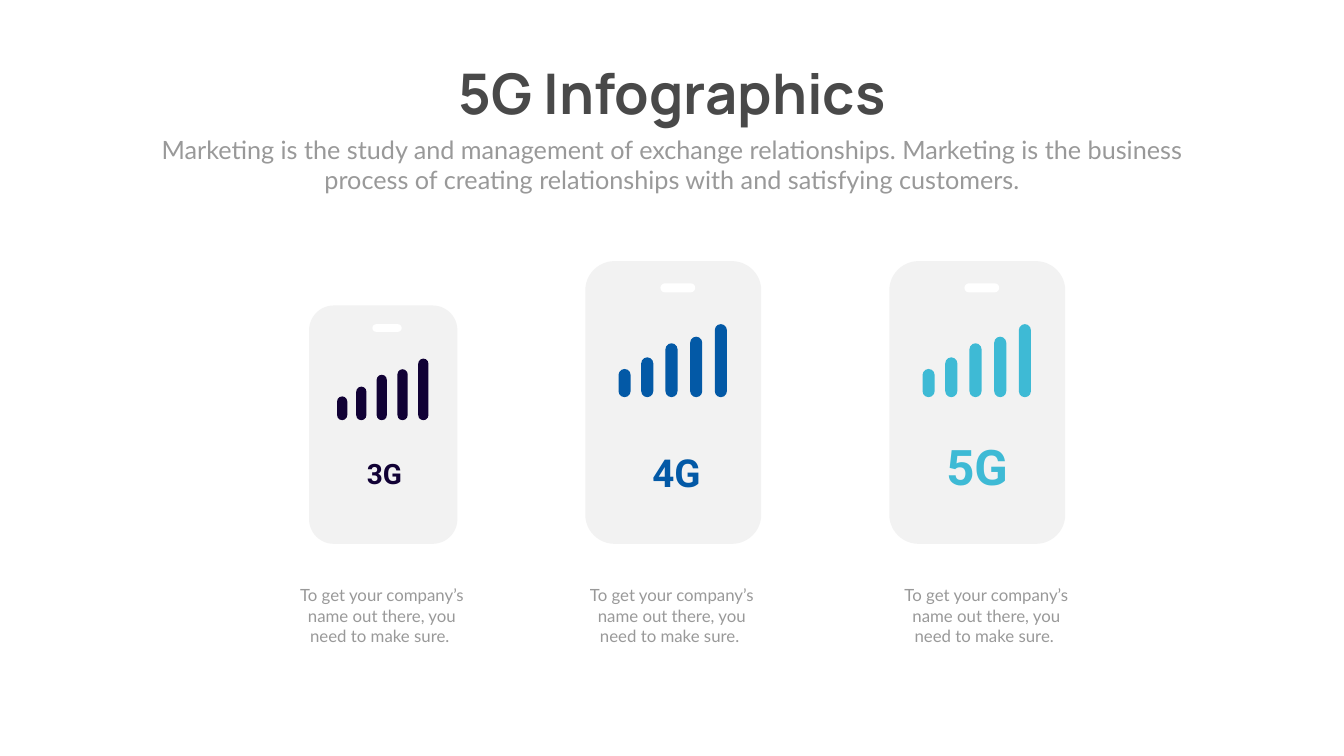
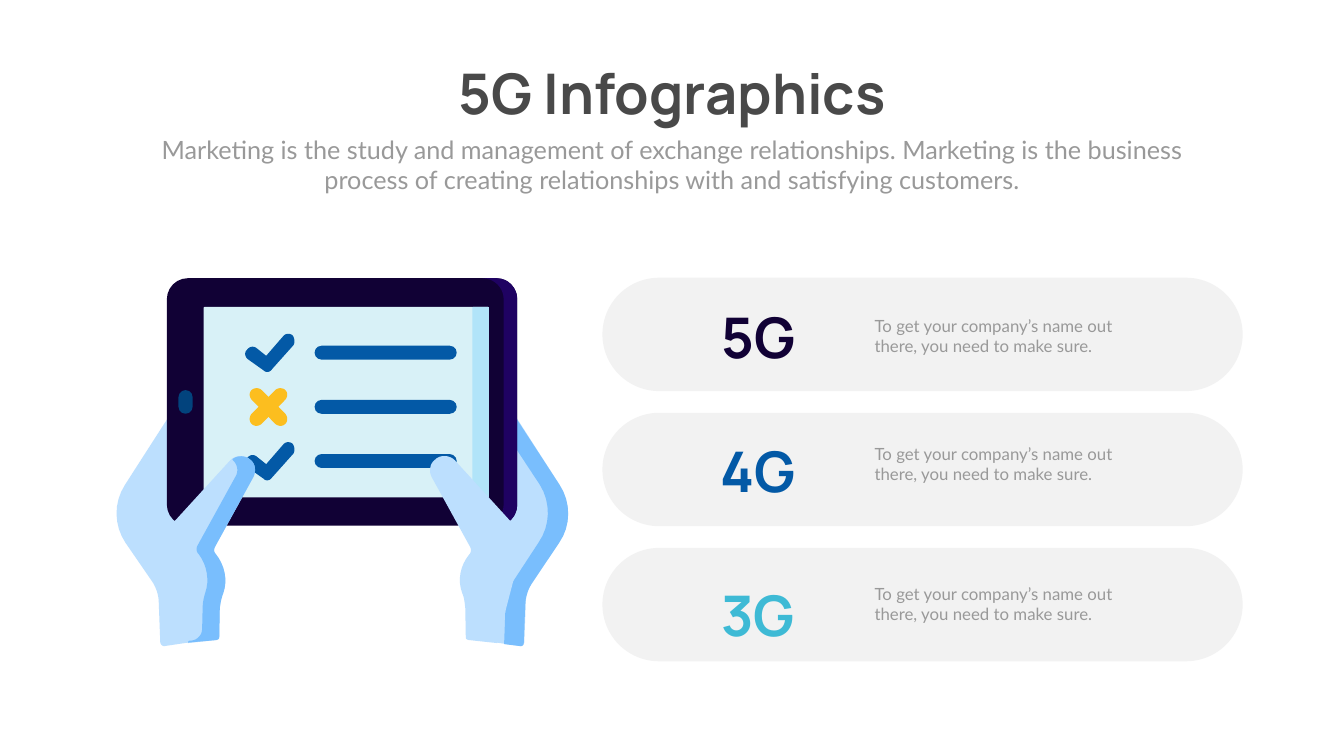
import pptx
import pptx.util
import pptx.dml.color
import pptx.enum.shapes
import pptx.enum.text

COLOURS = {
    "title": "494949", "body": "999999", "panel": "F2F2F2", "white": "FFFFFF",
    "navy": "110135", "blue": "0359A6", "cyan": "3EBAD5", "violet": "1F0262",
    "screen": "D8F1F7", "screen edge": "B1E4F9", "button": "02437D",
    "skin": "BCDFFE", "skin shade": "79BEFD", "cross": "FCBE1F",
}
TITLE = "5G Infographics"
SUBTITLE = ("Marketing is the study and management of exchange relationships. "
            "Marketing is the business process of creating relationships "
            "with and satisfying customers.")
DESCRIPTION = "To get your company’s name out there, you need to make sure."
CENTER = pptx.enum.text.PP_ALIGN.CENTER
LEFT = pptx.enum.text.PP_ALIGN.LEFT
OUTLINE_UNIT = 0.72  # points per unit of the outlines below


def add_text(slide, text, box, size, colour, font="Lato", bold=False,
             align=CENTER, wrap=True, shape=None):
    left, top, width, height = [pptx.util.Pt(value) for value in box]
    if shape is None:
        shape = slide.shapes.add_textbox(left, top, width, height)
    shape.left, shape.top, shape.width, shape.height = left, top, width, height
    frame = shape.text_frame
    frame.text = text
    frame.word_wrap = wrap
    frame.auto_size = pptx.enum.text.MSO_AUTO_SIZE.SHAPE_TO_FIT_TEXT
    frame.vertical_anchor = pptx.enum.text.MSO_ANCHOR.TOP
    paragraph = frame.paragraphs[0]
    paragraph.alignment = align
    run_font = paragraph.runs[0].font
    run_font.name = font
    run_font.size = pptx.util.Pt(size)
    run_font.bold = bold
    run_font.color.rgb = pptx.dml.color.RGBColor.from_string(COLOURS[colour])


def add_figure(slide, colour, box=None, corner=0.5, outline=None):
    """Draw a rounded box, or an outline of points and Bezier curves."""
    if outline:
        points = [outline[0]]
        for step in outline[1:]:
            if len(step) == 2:
                points.append(step)
                continue
            x0, y0 = points[-1]
            x1, y1, x2, y2, x3, y3 = step
            for t in [index / 8 for index in range(1, 9)]:
                a, b, c, d = (1 - t) ** 3, 3 * t * (1 - t) ** 2, 3 * t * t * (1 - t), t ** 3
                points.append((a * x0 + b * x1 + c * x2 + d * x3,
                               a * y0 + b * y1 + c * y2 + d * y3))
        points = [(x * 10, y * 10) for x, y in points]
        builder = slide.shapes.build_freeform(
            *points[0], scale=pptx.util.Pt(OUTLINE_UNIT) / 10)
        builder.add_line_segments(points[1:], close=True)
        shape = builder.convert_to_shape()
    else:
        shape = slide.shapes.add_shape(
            pptx.enum.shapes.MSO_SHAPE.ROUNDED_RECTANGLE,
            *[pptx.util.Pt(value) for value in box])
        shape.adjustments[0] = corner
    shape.shadow.inherit = False
    shape.fill.solid()
    shape.fill.fore_color.rgb = pptx.dml.color.RGBColor.from_string(COLOURS[colour])
    shape.line.fill.background()


presentation = pptx.Presentation()
presentation.slide_width = pptx.util.Pt(1919.5)
presentation.slide_height = pptx.util.Pt(1080)

# Both slides: title and subtitle
slides = []
for number in range(2):
    slide = presentation.slides.add_slide(presentation.slide_layouts[5])
    add_text(slide, TITLE, (622.1, 80.6, 676.1, 104.4), 80, "title",
             font="Manrope", bold=True, wrap=False, shape=slide.shapes.title)
    add_text(slide, SUBTITLE, (210.2, 187.9, 1499, 94.3), 36, "body")
    slides.append(slide)
phone_slide, tablet_slide = slides

# Slide 1: three phones standing on one line, the first one smaller
PHONE_BOTTOM = 776.9
PHONE_WIDTH, PHONE_HEIGHT = 251.3, 403.9
BAR_WIDTH, BAR_BOTTOM = 17.3, 194.4
SIGNAL_BARS = [(47.5, 40.3), (79.9, 56.9), (114.5, 77), (149.8, 86.4), (185, 104.4)]
phones = [
    # label, colour, left, scale, label size, label box, wrap, caption left
    ("3G", "navy", 441.4, 0.843, 40, (516.2, 648.7, 65.5, 55.4), False, 403.9),
    ("4G", "blue", 835.9, 1, 55, (910.8, 638.6, 110.9, 74.2), True, 817.9),
    ("5G", "cyan", 1270.1, 1, 70, (1339.9, 619.9, 110.9, 92.2), True, 1267.2),
]
for label, colour, left, scale, size, label_box, wrap, caption_left in phones:
    top = PHONE_BOTTOM - PHONE_HEIGHT * scale
    add_figure(phone_slide, "panel",
               (left, top, PHONE_WIDTH * scale, PHONE_HEIGHT * scale), corner=0.1667)
    for bar_left, bar_height in SIGNAL_BARS:
        add_figure(phone_slide, colour,
                   (left + bar_left * scale, top + (BAR_BOTTOM - bar_height) * scale,
                    BAR_WIDTH * scale, bar_height * scale))
    add_figure(phone_slide, "white", (left + 107.3 * scale, top + 31.7 * scale,
                                      49.7 * scale, 13 * scale))
    add_text(phone_slide, label, label_box, size, colour,
             font="Roboto", bold=True, wrap=wrap)
    add_text(phone_slide, DESCRIPTION + " ", (caption_left, 832.3, 283, 94.3), 24, "body")

# Slide 2: three pills with a label and a description
pills = [
    # label, colour, label width, label top, description top
    ("5G", "navy", 128.9, 428.4, 447.8),
    ("4G", "blue", 131, 620.6, 630.7),
    ("3G", "cyan", 125.3, 825.8, 830.2),
]
for row, (label, colour, label_width, label_top, description_top) in enumerate(pills):
    add_figure(tablet_slide, "panel", (860.4, 396.7 + 193 * row, 914.4, 162))
    add_text(tablet_slide, label, (1082.9 - label_width / 2, label_top, label_width, 104.4),
             80, colour, font="Manrope", bold=True, wrap=False)
    add_text(tablet_slide, DESCRIPTION, (1242, description_top, 404.6, 65.5),
             24, "body", align=LEFT)

# Slide 2: outlines of hands, tablet edge and marks
palm = [
    (318, 1275), (315, 1196), (315, 1181, 310, 1166, 302, 1154), (249, 1077),
    (226, 1043, 225, 997, 248, 962), (336, 825), (396, 1025), (373, 1275),
    (326, 1282), (322, 1282, 319, 1279, 318, 1275),
]
palm_shade = [
    (1110, 962), (1022, 827), (1013, 874), (1071, 962),
    (1093, 997, 1092, 1043, 1068, 1077), (1017, 1155),
    (1008, 1166, 1003, 1181, 1003, 1197), (1000, 1278), (1033, 1282),
    (1037, 1282, 1039, 1279, 1039, 1275), (1042, 1197),
    (1043, 1181, 1049, 1166, 1057, 1155), (1109, 1077),
    (1133, 1043, 1133, 997, 1110, 962),
]
tablet_edge = [
    (986, 552), (957, 552), (980, 552, 999, 571, 999, 593), (999, 1001),
    (999, 1025, 980, 1043, 957, 1043), (986, 1043),
    (1008, 1043, 1026, 1025, 1026, 1001), (1026, 593),
    (1026, 571, 1008, 552, 986, 552),
]
thumb = [
    (435, 1264), (436, 1207), (437, 1197, 438, 1186, 442, 1177),
    (452, 1151, 446, 1122, 428, 1100), (424, 1096, 424, 1089, 427, 1084),
    (503, 946), (508, 936, 507, 921, 497, 913), (486, 901, 467, 903, 457, 913),
    (331, 1051), (339, 1146), (373, 1276), (429, 1270),
    (433, 1269, 435, 1268, 435, 1264),
]
thumb_shade = [
    (503, 946), (508, 935, 507, 921, 498, 913), (487, 903, 471, 903, 461, 911),
    (461, 912, 462, 912, 462, 913), (471, 921, 474, 935, 467, 946), (391, 1084),
    (389, 1089, 390, 1096, 394, 1099), (411, 1122, 416, 1151, 407, 1177),
    (404, 1186, 402, 1197, 402, 1207), (401, 1248),
    (401, 1260, 391, 1270, 380, 1271), (376, 1271),
    (373, 1273, 372, 1274, 373, 1275), (429, 1270),
    (433, 1269, 435, 1267, 435, 1263), (436, 1208),
    (437, 1198, 439, 1187, 443, 1177), (452, 1151, 446, 1122, 428, 1099),
    (424, 1096, 424, 1089, 427, 1084),
]
check_mark = [
    (530, 738), (526, 738, 524, 736, 523, 735), (492, 713),
    (486, 709, 484, 699, 490, 694), (494, 688, 502, 686, 508, 690),
    (528, 706), (561, 668), (566, 661, 574, 661, 580, 665),
    (585, 671, 585, 680, 582, 685), (540, 732), (537, 736, 534, 738, 530, 738),
]
cross_stroke = [
    (508, 845), (506, 845, 502, 844, 499, 841), (494, 836, 494, 827, 499, 821),
    (546, 774), (551, 769, 561, 769, 566, 774), (571, 779, 571, 787, 566, 793),
    (519, 841), (515, 844, 512, 845, 508, 845),
]
# Mirrored outlines: the sum is twice the position of the mirror axis
mirrored_palm, mirrored_thumb, mirrored_stroke = [
    [tuple(value if index % 2 else axis_sum - value for index, value in enumerate(step))
     for step in outline]
    for outline, axis_sum in ((palm, 1358), (thumb, 1359), (cross_stroke, 1065))
]
lower_check_mark = [
    tuple(value + 215 if index % 2 else value for index, value in enumerate(step))
    for step in check_mark
]

# Slide 2: palms behind the tablet
add_figure(tablet_slide, "skin", outline=palm)
add_figure(tablet_slide, "skin", outline=mirrored_palm)
add_figure(tablet_slide, "skin shade", outline=palm_shade)

# Slide 2: tablet with its screen and home button
add_figure(tablet_slide, "navy", (238.3, 397.4, 500.4, 353.5), corner=0.085)
add_figure(tablet_slide, "violet", outline=tablet_edge)
add_figure(tablet_slide, "screen", (290.9, 438.5, 407.5, 272.2), corner=0.005)
add_figure(tablet_slide, "screen edge", (674.6, 438.5, 23.8, 272.2), corner=0.06)
add_figure(tablet_slide, "button", (254.9, 557.3, 20.2, 33.8))

# Slide 2: checklist
for row in range(3):
    add_figure(tablet_slide, "blue", (449.3, 493.9 + 77.4 * row, 203, 19.8))
for mark in (check_mark, lower_check_mark):
    add_figure(tablet_slide, "blue", outline=mark)
for stroke in (cross_stroke, mirrored_stroke):
    add_figure(tablet_slide, "cross", outline=stroke)

# Slide 2: thumbs in front of the tablet
add_figure(tablet_slide, "skin", outline=thumb)
add_figure(tablet_slide, "skin shade", outline=thumb_shade)
add_figure(tablet_slide, "skin", outline=mirrored_thumb)

presentation.save("out.pptx")
